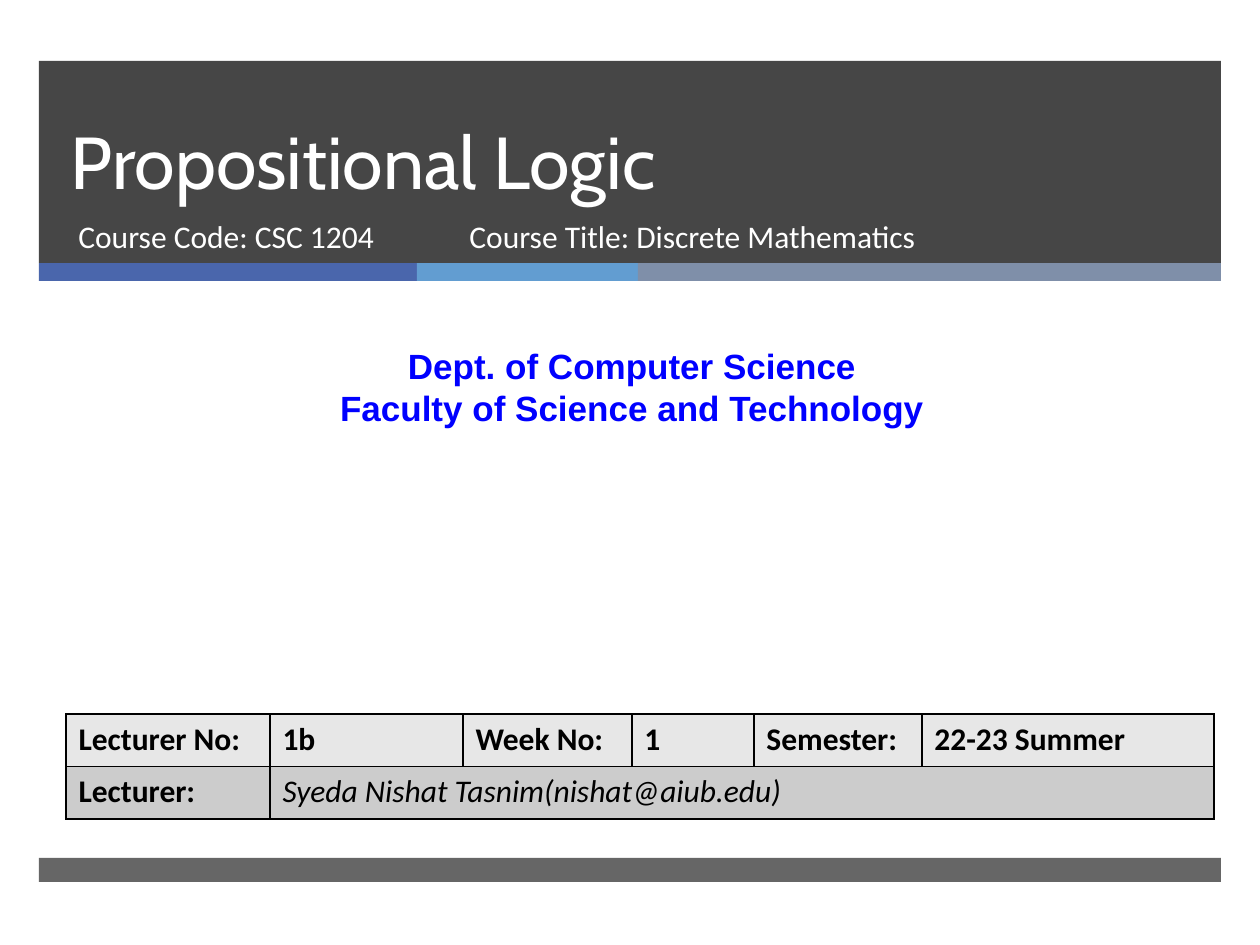
from lxml import etree
from pptx import Presentation
from pptx.dml.color import RGBColor
from pptx.enum.shapes import MSO_SHAPE
from pptx.enum.text import MSO_ANCHOR, MSO_AUTO_SIZE, PP_ALIGN
from pptx.oxml.ns import qn
from pptx.util import Emu, Pt

RECT = MSO_SHAPE.RECTANGLE
LEFT, CENTER = PP_ALIGN.LEFT, PP_ALIGN.CENTER
BOTTOM = MSO_ANCHOR.BOTTOM
FIXED = MSO_AUTO_SIZE.NONE

COLORS = {
    "dark": "262626", "blue": "4A66AC", "sky": "629DD1", "slate": "7F8FA9",
    "white": "FFFFFF", "link": "0000FF", "black": "000000",
    "light": "E7E7E7", "gray": "CCCCCC",
}
LABELS = ["Lecturer No:", "1b", "Week No:", "1", "Semester:", "22-23 Summer"]
LECTURER = ["Lecturer:", "Syeda Nishat Tasnim(nishat@aiub.edu)"]
WIDTHS = [204, 193, 169, 122, 168, 292]


def px(n):
    return Emu(round(n * 914400 / 126))


def color(name):
    return RGBColor.from_string(COLORS[name])


def style(para, face, size, tint, bold=False, italic=False, align=LEFT):
    para.alignment = align
    font = para.font
    font.name, font.size = face, Pt(size)
    font.bold, font.italic = bold, italic
    font.color.rgb = color(tint)


def add_bar(slide, x, y, w, h, tint, alpha=100):
    bar = slide.shapes.add_shape(RECT, px(x), px(y), px(w), px(h))
    bar.shadow.inherit = False
    bar.line.fill.background()
    bar.fill.solid()
    bar.fill.fore_color.rgb = color(tint)
    if alpha < 100:
        tone = bar.element.spPr.find(f"{qn('a:solidFill')}/{qn('a:srgbClr')}")
        etree.SubElement(tone, qn("a:alpha"), val=str(alpha * 1000))


def add_text(slide, x, y, w, h, lines, **look):
    box = slide.shapes.add_textbox(px(x), px(y), px(w), px(h))
    frame = box.text_frame
    frame.word_wrap = True
    frame.text = "\n".join(lines)
    for para in frame.paragraphs:
        style(para, **look)


def add_header(slide, x, y, w):
    add_bar(slide, x, y, w, 202, "dark", 85)
    left = x
    for tint, width in (("blue", 378), ("sky", 221), ("slate", w - 599)):
        add_bar(slide, left, y + 202, width, 18, tint)
        left += width

    title = slide.shapes.title
    slide.shapes.element.append(title.element)
    title.left, title.top = px(x + 19), px(y)
    title.width, title.height = px(1076), px(150)
    frame = title.text_frame
    frame.text = "Propositional Logic"
    frame.auto_size, frame.vertical_anchor = FIXED, BOTTOM
    para = frame.paragraphs[0]
    para.line_spacing = Pt(46)
    style(para, "Cabin", 42, "white")

    look = {"face": "Calibri", "size": 18, "tint": "white"}
    add_text(slide, x + 27, y + 150, 384, 67, ["Course Code: CSC 1204"], **look)
    add_text(slide, x + 418, y + 150, 573, 67,
             ["Course Title: Discrete Mathematics"], **look)


def add_border(cell):
    props = cell._tc.get_or_add_tcPr()
    for side in "LRTB":
        line = etree.SubElement(props, qn(f"a:ln{side}"), w=str(Pt(1)))
        fill = etree.SubElement(line, qn("a:solidFill"))
        etree.SubElement(fill, qn("a:srgbClr"), val=COLORS["black"])


def add_info(slide, x, y, w, h):
    frame = slide.shapes.add_table(2, len(WIDTHS), px(x), px(y), px(w), px(h))
    table = frame.table
    for col, width in zip(table.columns, WIDTHS):
        col.width = px(width)
    for row, texts, tint in zip(table.rows, (LABELS, LECTURER), ("light", "gray")):
        row.height = px(h / 2)
        for cell in row.cells:
            add_border(cell)
            cell.fill.solid()
            cell.fill.fore_color.rgb = color(tint)
        for cell, text in zip(row.cells, texts):
            cell.text = text
            name = text == LECTURER[1]
            style(cell.text_frame.paragraphs[0], "Calibri", 18, "black",
                  bold=not name, italic=name)
    table.cell(1, 1).merge(table.cell(1, len(WIDTHS) - 1))


def main():
    deck = Presentation()
    deck.slide_width, deck.slide_height = px(1260), px(945)
    slide = deck.slides.add_slide(deck.slide_layouts[5])
    add_header(slide, 39, 61, 1182)
    add_bar(slide, 39, 858, 1182, 24, "dark", 70)
    add_text(slide, 10, 338, 1244, 97,
             ["Dept. of Computer Science", "Faculty of Science and Technology"],
             face="Arial", size=20, tint="link", bold=True, align=CENTER)
    add_info(slide, 66, 714, sum(WIDTHS), 105)
    deck.save("out.pptx")


if __name__ == "__main__":
    main()
